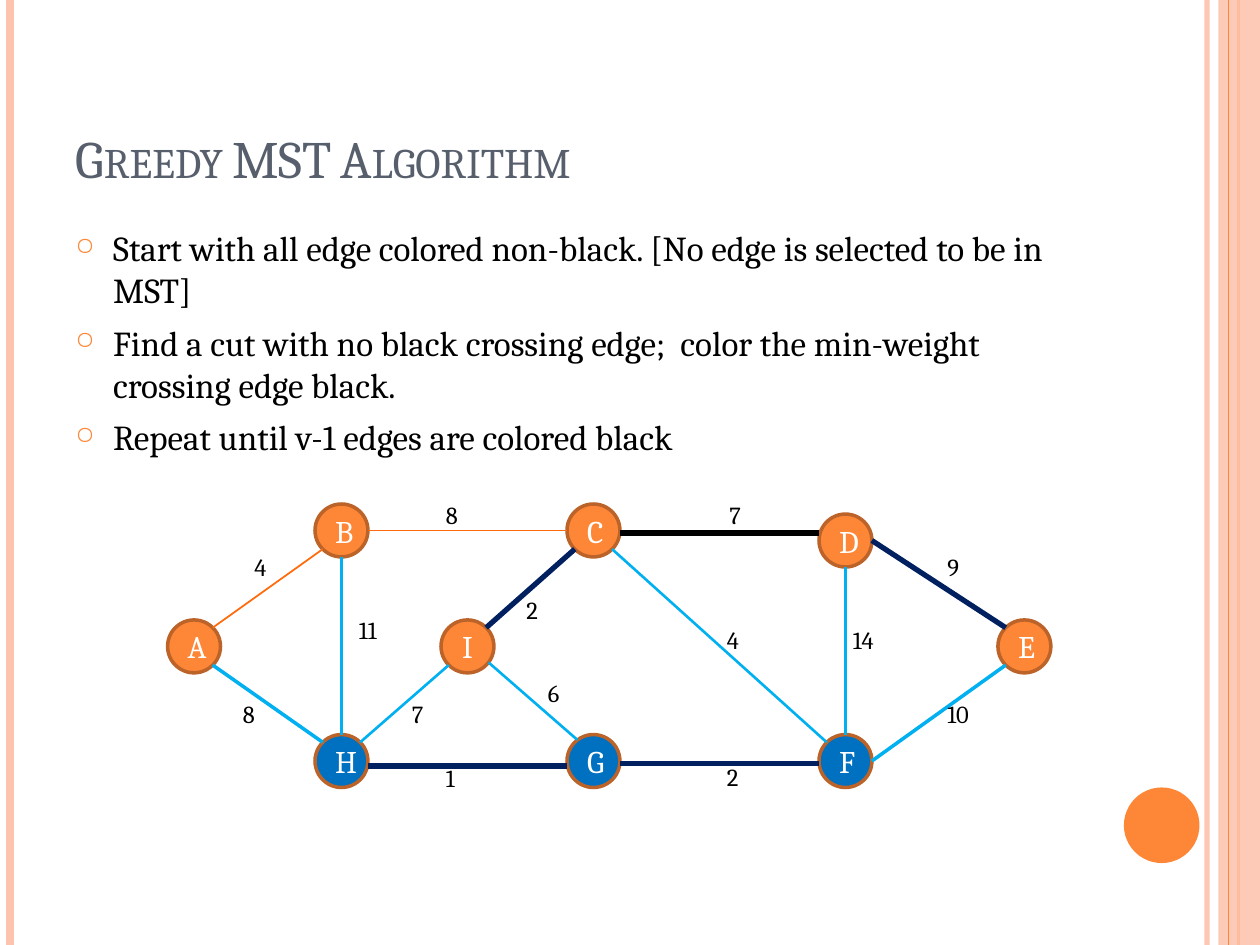
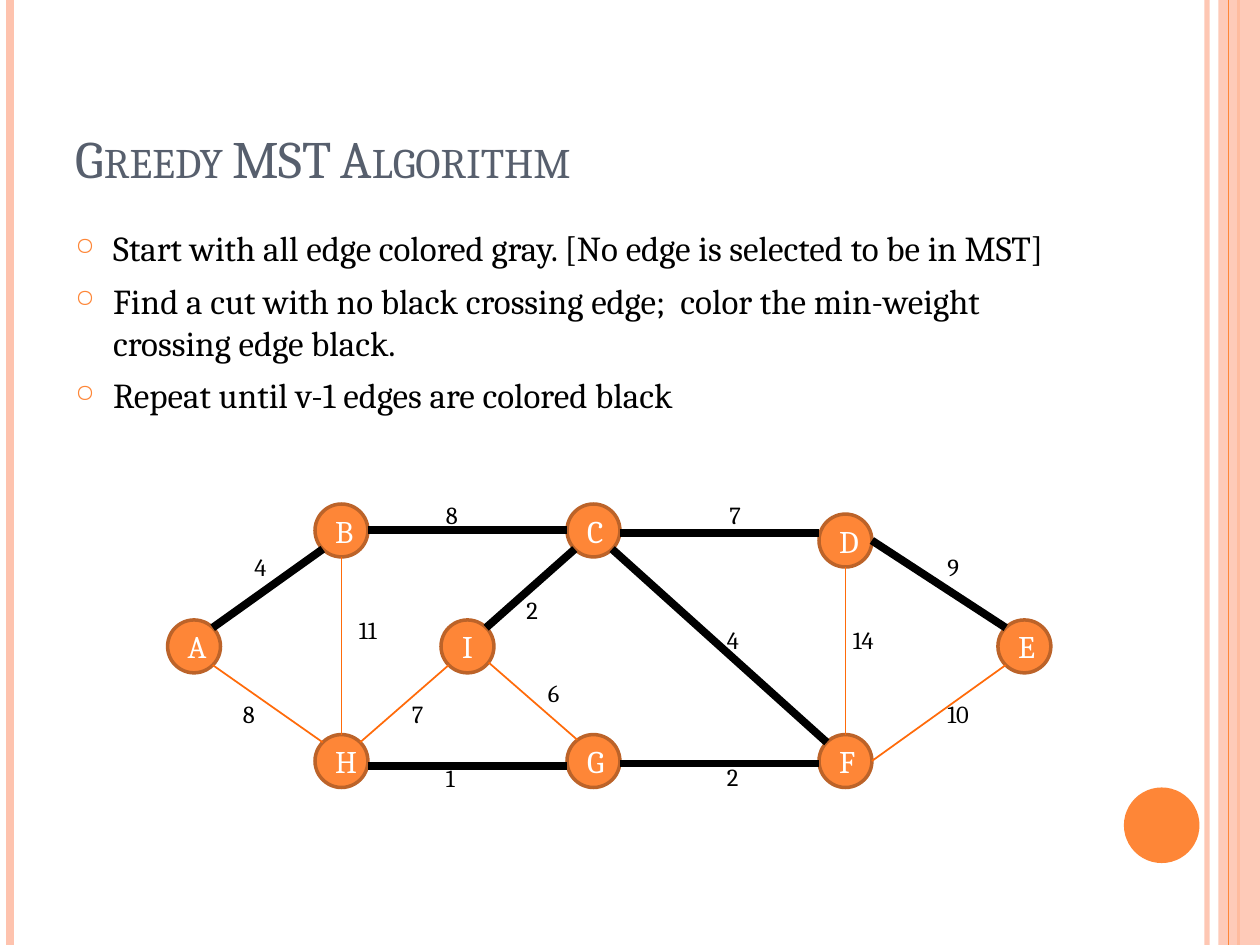
from lxml import etree
from pptx import Presentation
from pptx.dml.color import RGBColor
from pptx.enum.shapes import MSO_CONNECTOR, MSO_SHAPE
from pptx.enum.text import MSO_ANCHOR, MSO_AUTO_SIZE, PP_ALIGN
from pptx.oxml.ns import qn
from pptx.util import Inches, Pt

STRAIGHT = MSO_CONNECTOR.STRAIGHT
OVAL, RECT = MSO_SHAPE.OVAL, MSO_SHAPE.RECTANGLE
TOP, MIDDLE, BOTTOM = MSO_ANCHOR.TOP, MSO_ANCHOR.MIDDLE, MSO_ANCHOR.BOTTOM
LEFT, CENTER = PP_ALIGN.LEFT, PP_ALIGN.CENTER
FIXED, GROW = MSO_AUTO_SIZE.NONE, MSO_AUTO_SIZE.SHAPE_TO_FIT_TEXT

FONT = "Cambria"
ORANGE, PEACH, RIM, GRAY = "FE8637", "FEC3AE", "BC6329", "575F6D"
BLACK, WHITE, BLUE = "000000", "FFFFFF", "0070C0"
SKY, NAVY, DEEP_ORANGE = "00B0F0", "002060", "FF6B0A"

WIDTH, HEIGHT = 10, 7.5
STRIPES = [  # x, colour, width in points, opacity in percent
    (9.58, PEACH, 3, 93),
    (0.08, PEACH, 4.5, 100),
    (9.83, ORANGE, 1.5, 100),
]

NODE_SIZE = 0.42
NODES = {  # left, top
    "A": (1.33, 4.92), "I": (3.5, 4.92), "E": (7.92, 4.92),
    "G": (4.5, 5.83), "F": (6.5, 5.83), "H": (2.5, 5.83),
    "B": (2.5, 4), "C": (4.5, 4), "D": (6.5, 4.08),
}
RADIUS = NODE_SIZE / 2
DIAGONAL = RADIUS * 0.5 ** 0.5
SIDES = {
    "n": (0, -RADIUS), "s": (0, RADIUS), "e": (RADIUS, 0), "w": (-RADIUS, 0),
    "ne": (DIAGONAL, -DIAGONAL), "nw": (-DIAGONAL, -DIAGONAL),
    "se": (DIAGONAL, DIAGONAL), "sw": (-DIAGONAL, DIAGONAL),
}
EDGES = {  # start side, end side, shift, weight, left and top of the weight
    "AB": ("ne", "sw", (0, 0), 4, (1.92, 4.33)),
    "FE": ("e", "sw", (0, 0), 10, (7.42, 5.5)),
    "AH": ("se", "nw", (0, 0), 8, (1.83, 5.5)),
    "DE": ("e", "nw", (0, 0), 9, (7.42, 4.33)),
    "BC": ("e", "w", (0, 0), 8, (3.44, 3.92)),
    "HG": ("e", "w", (0, 0.04), 1, (3.44, 6.01)),
    "CD": ("e", "w", (0, 0.02), 7, (5.69, 3.92)),
    "GF": ("e", "w", (0, 0.02), 2, (5.67, 6)),
    "CI": ("sw", "ne", (0, 0), 2, (4.08, 4.67)),
    "IH": ("sw", "ne", (0, 0), 7, (3.17, 5.5)),
    "GI": ("nw", "se", (0.02, -0.02), 6, (4.25, 5.33)),
    "BH": ("s", "n", (0, 0), 11, (2.75, 4.83)),
    "DF": ("s", "n", (0, 0), 14, (6.67, 4.91)),
    "CF": ("se", "nw", (0, 0), 4, (5.67, 4.91)),
}
PLAIN_EDGE = (DEEP_ORANGE, 1)

TITLE = "Greedy MST Algorithm"
LAST_STEPS = [
    "Find a cut with no black crossing edge;  color the min-weight crossing edge black.",
    "Repeat until v-1 edges are colored black",
]
SLIDES = [  # first step, nodes on the blue side of the cut, edge styles
    ("Start with all edge colored non-black. [No edge is selected to be in MST]",
     "GFH",
     {(SKY, 2): ["FE", "AH", "BH", "DF"],
      (SKY, 1.5): ["IH", "GI", "CF"],
      (NAVY, 3): ["DE", "HG", "GF", "CI"],
      (BLACK, 3): ["CD"]}),
    ("Start with all edge colored gray. [No edge is selected to be in MST]",
     "",
     {(BLACK, 4.5): ["AB", "DE", "BC", "HG", "CD", "GF", "CI", "CF"]}),
]


def rgb(value):
    return RGBColor.from_string(value)


def set_opacity(fill_parent, percent):
    color = next(fill_parent.iter(qn("a:srgbClr")))
    etree.SubElement(color, qn("a:alpha"), val=str(percent * 1000))


def write(p, text, size=14, color=BLACK, align=LEFT, small_caps=False):
    p.alignment = align
    r = p.add_run()
    r.text = text
    r.font.name, r.font.size = FONT, Pt(size)
    r.font.color.rgb = rgb(color)
    if small_caps:
        r.font._element.set("cap", "small")


def add_bullet(p, indent=0.3):
    p.space_before = Pt(6)
    pPr = p._p.get_or_add_pPr()
    pPr.set("marL", str(Inches(indent)))
    pPr.set("indent", str(Inches(-indent)))
    color = etree.SubElement(pPr, qn("a:buClr"))
    etree.SubElement(color, qn("a:srgbClr"), val=ORANGE)
    etree.SubElement(pPr, qn("a:buSzPct"), val="70000")
    etree.SubElement(pPr, qn("a:buChar"), char="○")


def anchor_point(node, side):
    return [corner + RADIUS + offset
            for corner, offset in zip(NODES[node], SIDES[side])]


class Deck:
    def __init__(self):
        self.prs = Presentation()
        self.prs.slide_width, self.prs.slide_height = Inches(WIDTH), Inches(HEIGHT)
        self.s = None

    def new_slide(self, title):
        self.s = self.prs.slides.add_slide(self.prs.slide_layouts[5])
        self.shapes = self.s.shapes
        self.decorate()
        sp = self.shapes.title
        sp.left, sp.top = Inches(0.5), Inches(0.3)
        sp.width, sp.height = Inches(8.17), Inches(1.25)
        tf = sp.text_frame
        tf.auto_size, tf.vertical_anchor = FIXED, BOTTOM
        write(tf.paragraphs[0], title, size=30, color=GRAY, small_caps=True)

    def decorate(self):
        for x, color, width, opacity in STRIPES:
            self.line((x, 0), (x, HEIGHT), color, width, opacity)
        self.shape(RECT, 9.67, 0, 0.33, HEIGHT, PEACH, opacity=87)
        self.line((9.75, 0), (9.75, HEIGHT), ORANGE, 0.75)
        self.shape(OVAL, 8.92, 6.25, 0.6, 0.6, ORANGE)

    def line(self, start, end, color, width, opacity=100):
        cx = self.shapes.add_connector(
            STRAIGHT, *(Inches(v) for v in (*start, *end)))
        cx.line.color.rgb, cx.line.width = rgb(color), Pt(width)
        spPr = cx._element.spPr
        if opacity < 100:
            set_opacity(spPr, opacity)
        etree.SubElement(spPr, qn("a:effectLst"))

    def shape(self, kind, x, y, w, h, fill, rim=None, opacity=100):
        sp = self.shapes.add_shape(kind, *(Inches(v) for v in (x, y, w, h)))
        sp.shadow.inherit = False
        sp.fill.solid()
        sp.fill.fore_color.rgb = rgb(fill)
        if opacity < 100:
            set_opacity(sp._element.spPr, opacity)
        if rim:
            sp.line.color.rgb, sp.line.width = rgb(rim), Pt(2)
        else:
            sp.line.fill.background()
        return sp

    def text_frame(self, x, y, w, h, wrap=True, fit=FIXED):
        tf = self.shapes.add_textbox(*(Inches(v) for v in (x, y, w, h))).text_frame
        tf.word_wrap, tf.auto_size, tf.vertical_anchor = wrap, fit, TOP
        return tf

    def bullets(self, items):
        tf = self.text_frame(0.5, 1.75, 8.17, 5.33)
        for i, item in enumerate(items):
            p = tf.add_paragraph() if i else tf.paragraphs[0]
            write(p, item, size=20)
            add_bullet(p)

    def node(self, name, fill):
        sp = self.shape(OVAL, *NODES[name], NODE_SIZE, NODE_SIZE, fill, rim=RIM)
        sp.text_frame.vertical_anchor = MIDDLE
        write(sp.text_frame.paragraphs[0], name, size=18, color=WHITE, align=CENTER)

    def edge(self, name, color, width):
        start_side, end_side, (dx, dy), *_ = EDGES[name]
        x1, y1 = anchor_point(name[0], start_side)
        x2, y2 = anchor_point(name[1], end_side)
        if (start_side, end_side) == ("e", "w"):
            y2 = y1  # sideways edges stay level
        self.line((x1 + dx, y1 + dy), (x2 + dx, y2 + dy), color, width)

    def weight(self, value, x, y):
        text = str(value)
        width = 0.2 + 0.11 * len(text)
        tf = self.text_frame(x, y, width, 0.34, wrap=False, fit=GROW)
        write(tf.paragraphs[0], text)

    def graph(self, blue_nodes, edge_styles):
        style_of = {name: style for style, names in edge_styles.items()
                    for name in names}
        self.shapes = self.s.shapes.add_group_shape().shapes
        for name in NODES:
            self.node(name, BLUE if name in blue_nodes else ORANGE)
        for name in EDGES:
            self.edge(name, *style_of.get(name, PLAIN_EDGE))
        for *_, value, corner in EDGES.values():
            self.weight(value, *corner)
        self.shapes = self.s.shapes


def main():
    deck = Deck()
    for first_step, blue_nodes, edge_styles in SLIDES:
        deck.new_slide(TITLE)
        deck.bullets([first_step, *LAST_STEPS])
        deck.graph(blue_nodes, edge_styles)
    deck.prs.save("out.pptx")


if __name__ == "__main__":
    main()
